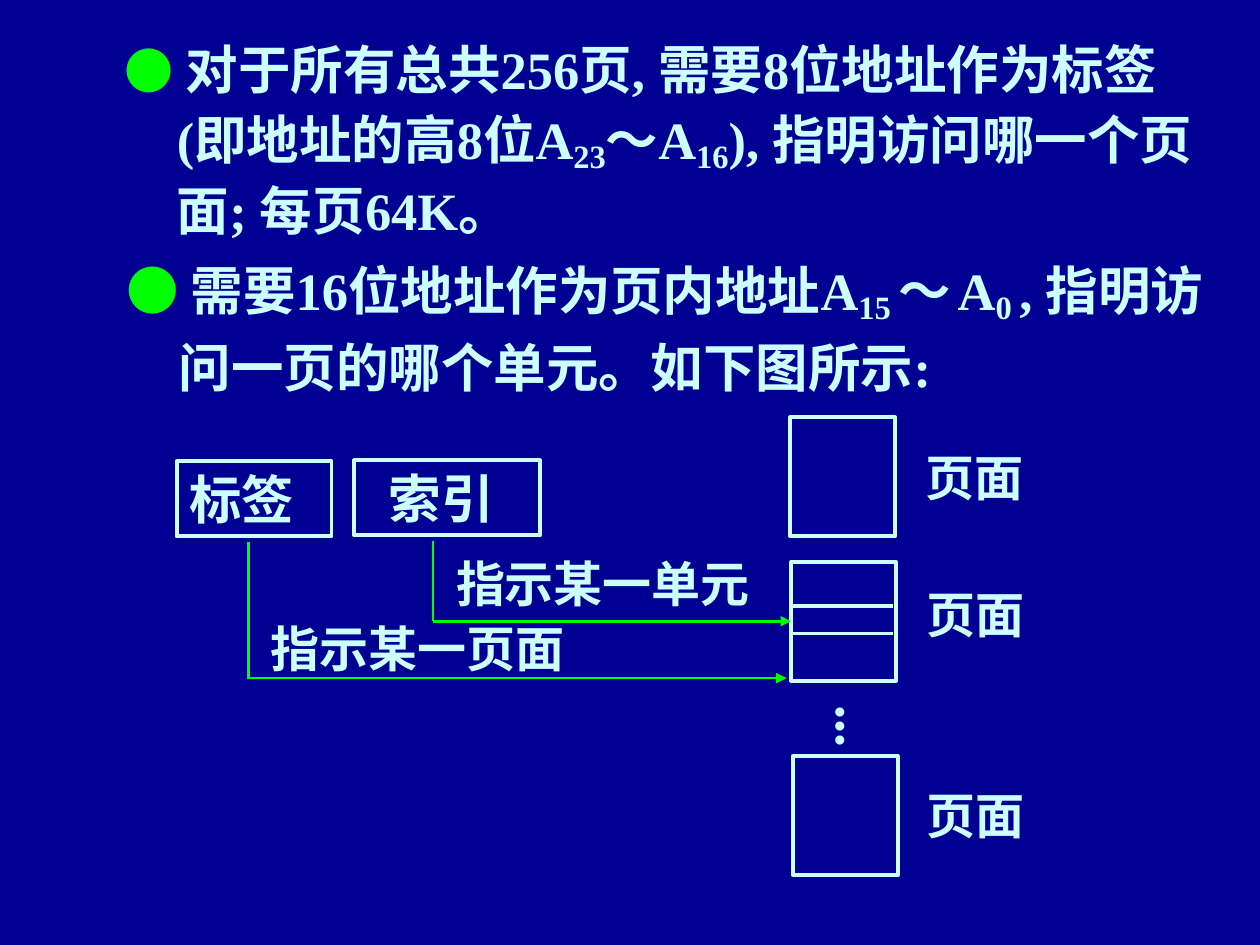
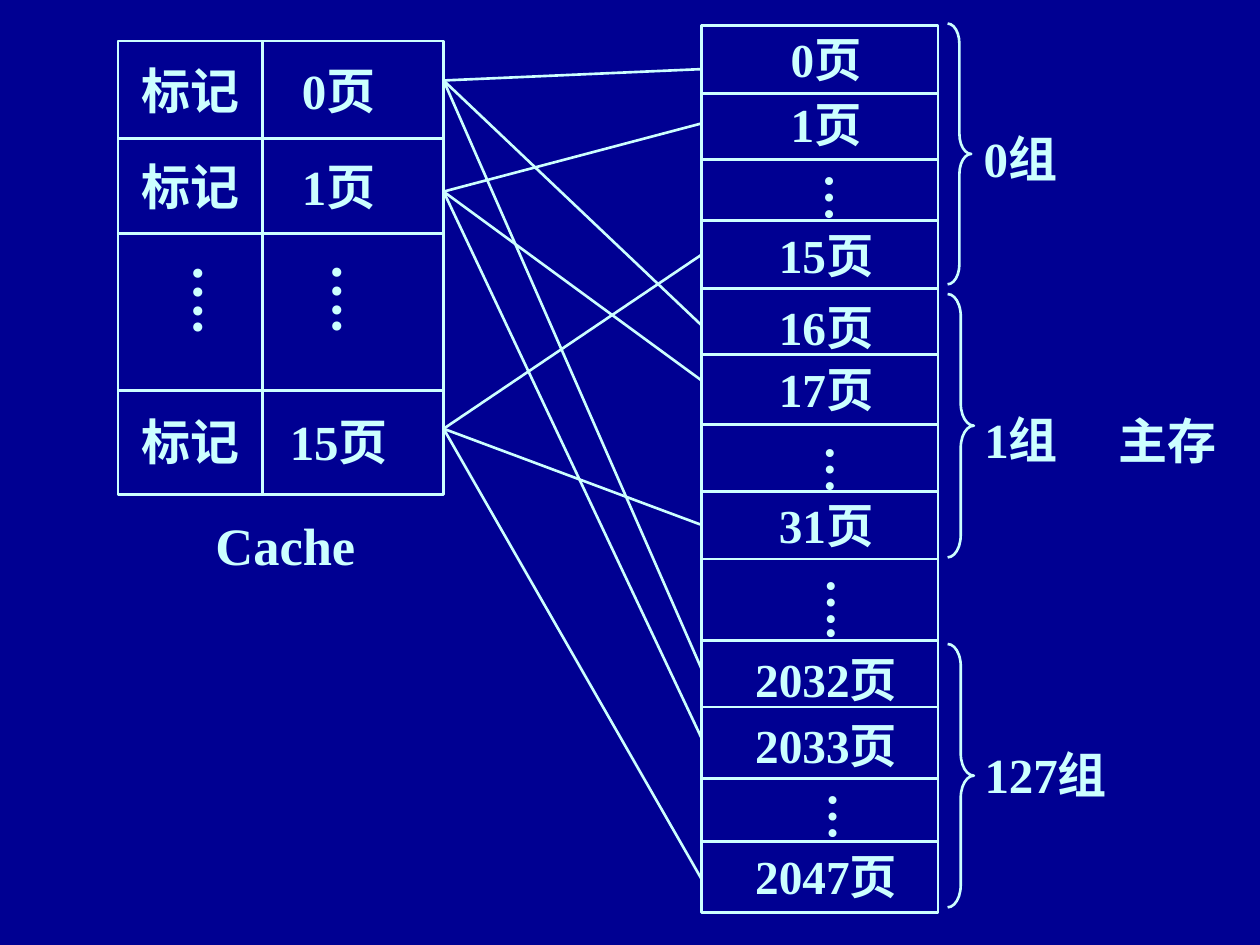
from lxml import etree
from pptx import Presentation
from pptx.dml.color import RGBColor
from pptx.enum.shapes import MSO_CONNECTOR, MSO_SHAPE
from pptx.enum.text import MSO_ANCHOR, MSO_AUTO_SIZE, PP_ALIGN
from pptx.oxml.ns import qn
from pptx.util import Pt

RECTANGLE, BRACE = MSO_SHAPE.RECTANGLE, MSO_SHAPE.RIGHT_BRACE
STRAIGHT = MSO_CONNECTOR.STRAIGHT
MIDDLE, CENTER = MSO_ANCHOR.MIDDLE, PP_ALIGN.CENTER
FIT_SHAPE, FIXED = MSO_AUTO_SIZE.SHAPE_TO_FIT_TEXT, MSO_AUTO_SIZE.NONE

COLORS = {"background": "000092", "ink": "CCFFFF", "accent": "00FF00"}
TEXT_FONT, BULLET_FONT = "Times New Roman", "Arial"


def write(shape, text, size, centered=False, vertical=False):
    """Put bold text in a shape: centred in a fixed box, or in a box that grows."""
    frame = shape.text_frame
    frame.word_wrap = True
    frame.auto_size = FIXED if centered else FIT_SHAPE
    frame.text = text
    paragraph = frame.paragraphs[0]
    if centered:
        frame.vertical_anchor = MIDDLE
        paragraph.alignment = CENTER
        frame.margin_left = frame.margin_right = 0
        frame.margin_top = frame.margin_bottom = 0
    if vertical:
        frame.margin_left = frame.margin_right = Pt(3.6)
        frame.margin_top = frame.margin_bottom = Pt(7.2)
        frame._txBody.bodyPr.set("vert", "eaVert")
    for run in paragraph.runs:
        run.font.name = TEXT_FONT
        run.font.size = Pt(size)
        run.font.bold = True
        run.font.color.rgb = RGBColor.from_string(COLORS["ink"])


def add_line(slide, start, end, color="ink", width=1.5, arrow=False):
    x1, y1, x2, y2 = map(Pt, (*start, *end))
    line = slide.shapes.add_connector(STRAIGHT, x1, y1, x2, y2)
    line.line.color.rgb = RGBColor.from_string(COLORS[color])
    line.line.width = Pt(width)
    properties = line._element.spPr
    if arrow:
        outline = properties.find(qn("a:ln"))
        etree.SubElement(outline, qn("a:tailEnd"), type="triangle")
    etree.SubElement(properties, qn("a:effectLst"))
    return line


presentation = Presentation()
presentation.slide_width, presentation.slide_height = Pt(720), Pt(540)
blank_layout = presentation.slide_layouts[6]
address_slide = presentation.slides.add_slide(blank_layout)
mapping_slide = presentation.slides.add_slide(blank_layout)
for slide in (address_slide, mapping_slide):
    slide.background.fill.solid()
    slide.background.fill.fore_color.rgb = RGBColor.from_string(COLORS["background"])

# Outlined shapes of both slides: slide, preset, box, line width
outlines = {
    "tag": (address_slide, RECTANGLE, (101, 263.5, 88.5, 43), 2.25),
    "index": (address_slide, RECTANGLE, (202.5, 263, 106, 43), 2.25),
    "first page": (address_slide, RECTANGLE, (451.5, 238.5, 60, 68), 2.25),
    "middle page": (address_slide, RECTANGLE, (452, 321, 60, 68), 2.25),
    "last page": (address_slide, RECTANGLE, (453, 432, 60, 68), 2.25),
    "cache": (mapping_slide, RECTANGLE, (67.5, 23.5, 186, 259), 1.5),
    "memory": (mapping_slide, RECTANGLE, (401, 14.5, 135, 507), 1.5),
    "group 0": (mapping_slide, BRACE, (541.5, 13.5, 13.5, 149), 1.5),
    "group 1": (mapping_slide, BRACE, (541.5, 168, 15, 150.5), 1.5),
    "group 127": (mapping_slide, BRACE, (541.5, 368, 15, 150.5), 1.5),
}
shapes = {}
for name, (slide, preset, box, width) in outlines.items():
    shape = slide.shapes.add_shape(preset, *map(Pt, box))
    shape.shadow.inherit = False
    shape.fill.background()
    shape.line.color.rgb = RGBColor.from_string(COLORS["ink"])
    shape.line.width = Pt(width)
    if preset == BRACE:
        shape.adjustments[0] = 0.85
    shapes[name] = shape

# Slide 1: bulleted explanation; runs are text, size, baseline in percent
explanations = [
    ((64, 14.5, 638.5, 127.5), [
        ("●", 28, 0), (" ", 31, 0),
        ("对于所有总共256页, 需要8位地址作为标签(即地址的高8位A", 30, 0),
        ("23", 32, -16), ("～A", 30, 0), ("16", 32, -16),
        ("), 指明访问哪一个页面; 每页64K。", 30, 0)]),
    ((65, 139.5, 635, 92), [
        ("● ", 30, 0), ("需要16位地址作为页内地址A", 30, 0),
        ("15 ", 32, -16), ("～", 30, 0), (" ", 16, 0), ("A", 30, 0),
        ("0", 32, -16), (" ", 30, -30),
        (", 指明访问一页的哪个单元。如下图所示:", 30, 0)]),
]
for box, runs in explanations:
    frame = address_slide.shapes.add_textbox(*map(Pt, box)).text_frame
    frame.word_wrap = True
    frame.auto_size = FIT_SHAPE
    paragraph = frame.paragraphs[0]
    paragraph.line_spacing = 1.05
    indents = paragraph._p.get_or_add_pPr()
    indents.set("marL", str(Pt(30)))
    indents.set("indent", str(Pt(-30)))
    for text, size, baseline in runs:
        is_bullet = text.startswith("●")
        run = paragraph.add_run()
        run.text = text
        run.font.name = BULLET_FONT if is_bullet else TEXT_FONT
        run.font.size = Pt(size)
        run.font.bold = True
        color = COLORS["accent" if is_bullet else "ink"]
        run.font.color.rgb = RGBColor.from_string(color)
        if baseline:
            run.font._element.set("baseline", str(baseline * 1000))

# Slide 1: address fields, pages and pointers
for name, label, shift in (("tag", "标签", -14), ("index", "索引", -7)):
    write(shapes[name], label, 30, centered=True)
    shapes[name].text_frame.margin_right = Pt(-shift)

for y in (346.5, 362):
    add_line(address_slide, (452, y), (510.5, y), width=2.25)

add_line(address_slide, (142, 309.5), (142, 388), "accent")
add_line(address_slide, (142, 387.5), (449.5, 387.5), "accent", arrow=True)
add_line(address_slide, (247.5, 309), (247.5, 355), "accent")
unit_pointer = add_line(address_slide, (247.5, 355), (452, 355), "accent", arrow=True)
unit_pointer.end_connect(shapes["middle page"], 1)

# Free-standing captions of both slides: slide, text, size, box
captions = [
    (address_slide, "页面", 28, (522, 252, 78.5, 41)),
    (address_slide, "页面", 28, (522.5, 330.5, 78.5, 41)),
    (address_slide, "页面", 28, (522.5, 445.5, 78.5, 41)),
    (address_slide, "指示某一单元", 28, (253.5, 313, 209, 41)),
    (address_slide, "指示某一页面", 28, (147.5, 350, 209, 41)),
    (mapping_slide, "Cache", 30, (116, 289.5, 101, 43)),
    (mapping_slide, "主存", 28, (632, 231, 88, 41)),
    (mapping_slide, "0组", 28, (555, 70, 80.5, 41)),
    (mapping_slide, "1组", 28, (555.5, 230.5, 80.5, 41)),
    (mapping_slide, "127组", 28, (555.5, 422, 96, 41)),
]
for slide, text, size, box in captions:
    write(slide.shapes.add_textbox(*map(Pt, box)), text, size)

ellipses = [
    (address_slide, "...", 32, (461, 396, 52.5, 49.5)),
    (mapping_slide, "….", 32, (94.5, 144, 52.5, 55.5)),
    (mapping_slide, "….", 32, (173.5, 143.5, 52.5, 55.5)),
    (mapping_slide, "…", 28, (456, 92, 47.5, 55.5)),
    (mapping_slide, "…", 28, (456.5, 247.5, 47.5, 55.5)),
    (mapping_slide, "….", 28, (457, 323.5, 47.5, 55.5)),
    (mapping_slide, "…", 28, (458, 445.5, 47.5, 55.5)),
]
for slide, text, size, box in ellipses:
    write(slide.shapes.add_textbox(*map(Pt, box)), text, size, vertical=True)

# Slide 2: cache rows
CACHE_LEFT, CACHE_DIVIDER, CACHE_RIGHT = 67.5, 150, 253.5
LABEL_HEIGHT = 36
for y in (79, 133.5, 223):
    add_line(mapping_slide, (CACHE_LEFT, y), (CACHE_RIGHT, y))
add_line(mapping_slide, (CACHE_DIVIDER, 23.5), (CACHE_DIVIDER, 282))

# Labels: text, size, left, width, middle
labels = []
for page, middle in ((0, 51.5), (1, 106.5), (15, 252)):
    labels.append(("标记", 28, CACHE_LEFT, 83, middle))
    labels.append((f"{page}页", 28, CACHE_DIVIDER, 87, middle))

# Slide 2: main memory rows
MEMORY_LEFT, MEMORY_RIGHT = 401, 536
for y in (53.5, 91, 126, 165, 202.5, 242.5, 281, 319.5, 366, 404, 445, 481):
    add_line(mapping_slide, (MEMORY_LEFT, y), (MEMORY_RIGHT, y))

memory_pages = {0: 33.5, 1: 70.5, 15: 145.5, 16: 186.5, 17: 222,
                31: 300, 2032: 388, 2033: 425.5, 2047: 500.5}
for page, middle in memory_pages.items():
    labels.append((f"{page}页", 27, 405, 134, middle))

for text, size, left, width, middle in labels:
    box = (left, middle - LABEL_HEIGHT / 2, width, LABEL_HEIGHT)
    write(mapping_slide.shapes.add_textbox(*map(Pt, box)), text, size, centered=True)

# Each cache page links to the memory pages that may be loaded into it
page_links = {46: (39.5, 186, 382.5), 109.5: (70.5, 217.5, 422), 245: (145.5, 300, 502.5)}
for cache_y, memory_ys in page_links.items():
    for memory_y in memory_ys:
        add_line(mapping_slide, (MEMORY_LEFT, memory_y), (CACHE_RIGHT, cache_y))

presentation.save("out.pptx")
